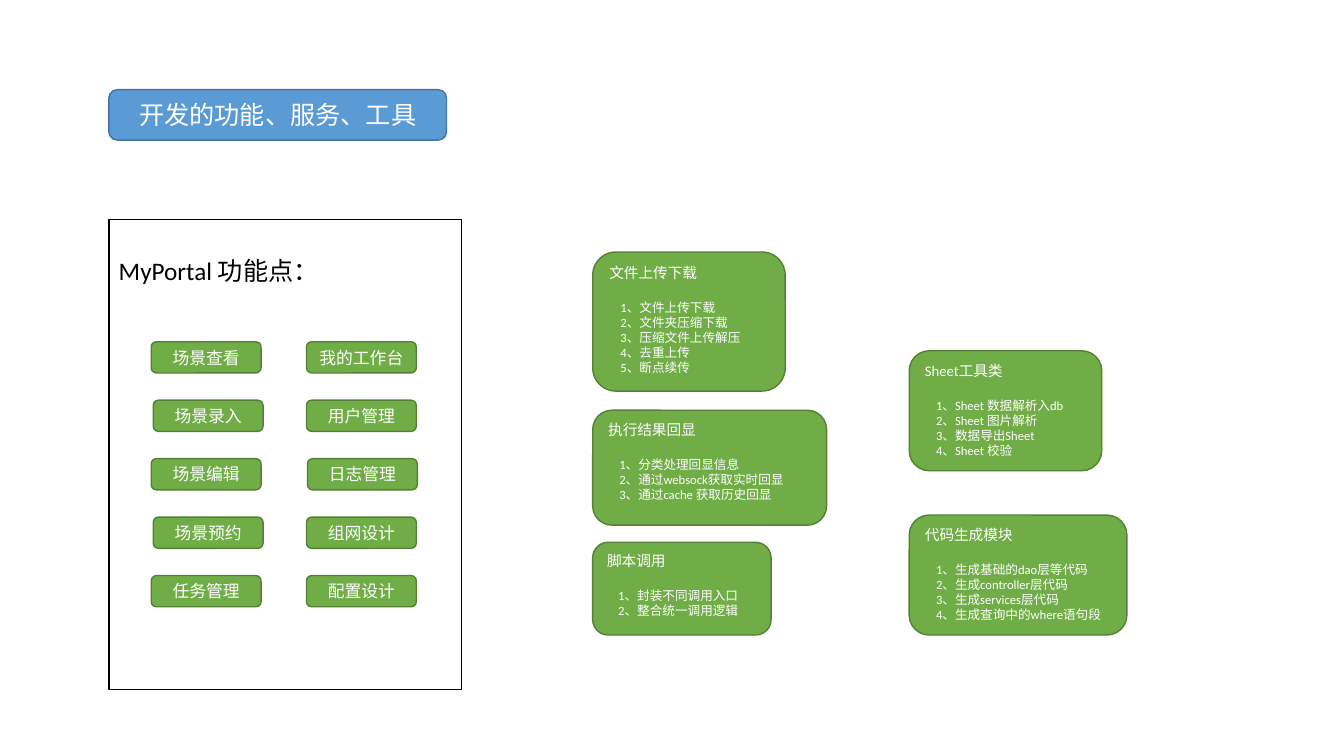
import pptx
import pptx.util
import pptx.dml.color
import pptx.enum.shapes
import pptx.enum.text

RGB = pptx.dml.color.RGBColor
KIND = pptx.enum.shapes.MSO_SHAPE
ALIGN = pptx.enum.text.PP_ALIGN
ANCHOR = pptx.enum.text.MSO_ANCHOR

WHITE = RGB(0xFF, 0xFF, 0xFF)
BLACK = RGB(0, 0, 0)
BLUE = RGB(0x5B, 0x9B, 0xD5)
NAVY = RGB(0x43, 0x73, 0x9E)
GREEN = RGB(0x70, 0xAD, 0x47)
MOSS = RGB(0x53, 0x80, 0x35)
FONT = "Calibri"
CELL = 0.1

TASKS = [
    (15.0, "场景查看"), (15.2, "场景录入"), (15.0, "场景编辑"),
    (15.2, "场景预约"), (15.0, "任务管理"),
]
TOOLS = [
    (30.4, "我的工作台"), (30.4, "用户管理"), (30.5, "日志管理"),
    (30.4, "组网设计"), (30.4, "配置设计"),
]
CARDS = [
    ((58.8, 25.0, 19.1, 13.8), "文件上传下载",
     ["文件上传下载", "文件夹压缩下载", "压缩文件上传解压", "去重上传", "断点续传"]),
    ((58.8, 40.7, 23.2, 11.4), "执行结果回显",
     ["分类处理回显信息", "通过websock获取实时回显", "通过cache 获取历史回显"]),
    ((58.8, 53.8, 17.7, 9.2), "脚本调用",
     ["封装不同调用入口", "整合统一调用逻辑"]),
    ((90.2, 34.8, 19.1, 11.9), "Sheet工具类",
     ["Sheet 数据解析入db", "Sheet 图片解析", "数据导出Sheet", "Sheet 校验"]),
    ((90.2, 51.1, 21.6, 11.9), "代码生成模块",
     ["生成基础的dao层等代码", "生成controller层代码", "生成services层代码",
      "生成查询中的where语句段"]),
]


def grid(count):
    return pptx.util.Inches(count * CELL)


def box(slide, area, fill, edge, kind=KIND.ROUNDED_RECTANGLE, anchor=ANCHOR.MIDDLE):
    shape = slide.shapes.add_shape(kind, *map(grid, area))
    shape.shadow.inherit = False
    shape.fill.solid()
    shape.fill.fore_color.rgb = fill
    shape.line.color.rgb = edge
    shape.line.width = pptx.util.Pt(1)
    frame = shape.text_frame
    frame.word_wrap = True
    frame.vertical_anchor = anchor
    return frame


def write(para, text, size=12, color=WHITE, align=ALIGN.CENTER, after=0, indent=0):
    para.alignment = align
    para.space_after = pptx.util.Pt(after)
    if indent:
        para._p.get_or_add_pPr().set("marL", str(grid(indent)))
    run = para.add_run()
    run.text = text
    run.font.name = FONT
    run.font.size = pptx.util.Pt(size)
    run.font.color.rgb = color


def title(slide):
    frame = box(slide, (10.8, 8.9, 33.5, 5), BLUE, NAVY)
    write(frame.paragraphs[0], "开发的功能、服务、工具", size=18)


def panel(slide):
    frame = box(slide, (10.8, 21.8, 35, 46.6), WHITE, BLACK, KIND.RECTANGLE, ANCHOR.TOP)
    frame.margin_top = grid(3.5)
    write(frame.paragraphs[0], "MyPortal 功能点：", size=18, color=BLACK, align=ALIGN.LEFT)


def stack(slide, items):
    for row, (left, text) in enumerate(items):
        frame = box(slide, (left, 33.9 + 5.8 * row, 10.9, 3.1), GREEN, MOSS)
        write(frame.paragraphs[0], text)


def card(slide, area, head, items):
    frame = box(slide, area, GREEN, MOSS, anchor=ANCHOR.TOP)
    frame.margin_right = 0
    write(frame.paragraphs[0], head, size=10.5, align=ALIGN.LEFT, after=13)
    for index, text in enumerate(items, 1):
        write(frame.add_paragraph(), f"{index}、{text}", size=9, align=ALIGN.LEFT, indent=1.1)


def main():
    deck = pptx.Presentation()
    deck.slide_width = grid(133.33)
    deck.slide_height = grid(75)
    slide = deck.slides.add_slide(deck.slide_layouts[6])
    title(slide)
    panel(slide)
    stack(slide, TASKS)
    stack(slide, TOOLS)
    for area, head, items in CARDS:
        card(slide, area, head, items)
    deck.save("out.pptx")


if __name__ == "__main__":
    main()
